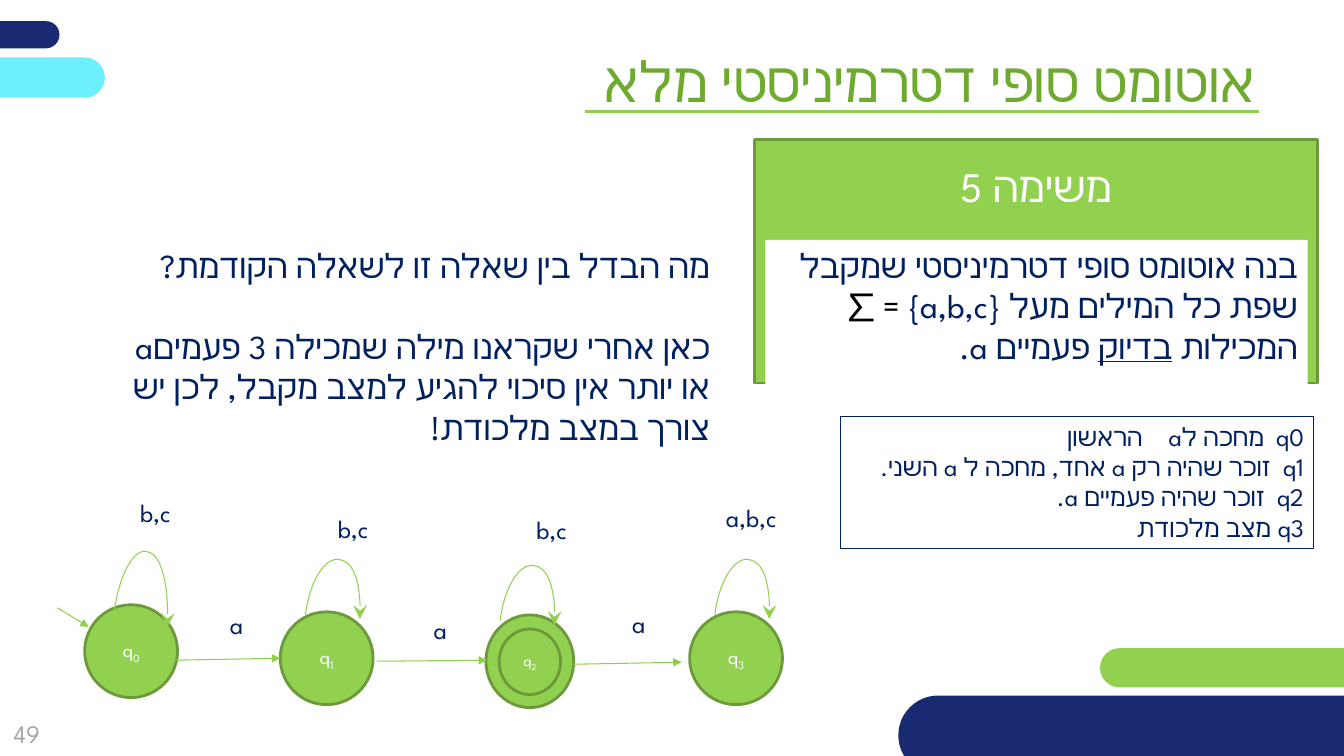
from dataclasses import dataclass

from lxml import etree
from pptx import Presentation
from pptx.dml.color import RGBColor
from pptx.enum.shapes import MSO_CONNECTOR, MSO_SHAPE
from pptx.enum.text import MSO_ANCHOR, PP_ALIGN
from pptx.oxml.ns import qn
from pptx.util import Emu, Pt

RECT, ELLIPSE, PILL = MSO_SHAPE.RECTANGLE, MSO_SHAPE.OVAL, MSO_SHAPE.ROUNDED_RECTANGLE
STRAIGHT = MSO_CONNECTOR.STRAIGHT
TOP, MIDDLE = MSO_ANCHOR.TOP, MSO_ANCHOR.MIDDLE
RIGHT, CENTER, JUSTIFY = PP_ALIGN.RIGHT, PP_ALIGN.CENTER, PP_ALIGN.JUSTIFY

EMU_PER_PX = 9144  # 100 px to the inch


@dataclass(frozen=True)
class Theme:
    font: str = "League Spartan"
    green: str = "92D050"
    dark_green: str = "6C9A3B"
    line_green: str = "8FCF4B"
    title_green: str = "6EAA2E"
    navy: str = "192A72"
    cyan: str = "6CF0FF"
    ink: str = "002060"
    grey: str = "A6A6A6"
    white: str = "FFFFFF"
    black: str = "000000"
    title: int = 40
    heading: int = 30
    body: int = 24
    small: int = 18
    state: int = 14
    inner_state: int = 11


THEME = Theme()


def px(value):
    return Emu(round(value * EMU_PER_PX))


def shifted(box, left, top, width, height):
    """Box given relative to the corner of another box."""
    return box[0] + left, box[1] + top, width, height


def add_block(shapes, kind, box, fill=None, line=None, weight=2):
    block = shapes.add_shape(kind, *map(px, box))
    block.shadow.inherit = False
    if fill:
        block.fill.solid()
        block.fill.fore_color.rgb = RGBColor.from_string(fill)
    else:
        block.fill.background()
    if line:
        block.line.color.rgb = RGBColor.from_string(line)
        block.line.width = Pt(weight)
    else:
        block.line.fill.background()
    return block


def add_run(paragraph, text, size, color, underline=None, **attributes):
    run = paragraph.add_run()
    run.text = text
    font = run.font
    font.name, font.size, font.underline = THEME.font, Pt(size), underline
    font.color.rgb = RGBColor.from_string(color)
    properties = run._r.get_or_add_rPr()
    etree.SubElement(properties, qn("a:cs")).set("typeface", THEME.font)
    for name, value in attributes.items():
        properties.set(name, str(value))


def start_text(shape, align=RIGHT, anchor=TOP):
    """Prepare the frame and return its first right-to-left paragraph."""
    frame = shape.text_frame
    frame.word_wrap = True
    frame.vertical_anchor = anchor
    return set_direction(frame.paragraphs[0], align)


def set_direction(paragraph, align, indent=0):
    paragraph.alignment = align
    properties = paragraph._p.get_or_add_pPr()
    properties.set("rtl", "1")
    if indent:
        properties.set("marR", str(px(indent)))
    return paragraph


def add_label(shapes, box, text, size, color, align=RIGHT, anchor=TOP):
    label = shapes.add_textbox(*map(px, box))
    add_run(start_text(label, align, anchor), text, size, color)
    return label


def style_line(shape, color, weight, **ends):
    """Colour and weigh a line; each end is an arrowhead type and its size."""
    shape.line.color.rgb = RGBColor.from_string(color)
    shape.line.width = Pt(weight)
    for end, (arrowhead, size) in ends.items():
        head = etree.SubElement(shape._element.spPr.find(qn("a:ln")), qn(f"a:{end}"))
        for name, value in (("type", arrowhead), ("w", size), ("len", size)):
            head.set(name, value)


def add_line(shapes, start, finish, weight, **ends):
    line = shapes.add_connector(STRAIGHT, *map(px, (*start, *finish)))
    style_line(line, THEME.line_green, weight, **ends)
    etree.SubElement(line._element.spPr, qn("a:effectLst"))


def add_decoration(shapes):
    for box, color in (
        ((-266, 21, 325, 27), THEME.navy),
        ((1091, 643, 521, 39), THEME.green),
        ((-221, 57, 325, 40), THEME.cyan),
        ((891, 690, 566, 79), THEME.navy),
    ):
        add_block(shapes, PILL, box, color).adjustments[0] = 0.5
    add_label(shapes, (-18, 699, 89, 57), "49", THEME.small, THEME.grey, CENTER, MIDDLE)


def add_title(shapes, box):
    left, top = box[:2]
    add_line(shapes, (left + 140, top + 70), (left + 809, top + 70), 2.25)
    add_label(shapes, box, "אוטומט סופי דטרמיניסטי מלא", THEME.title, THEME.title_green)


def add_task(shapes, box):
    card = add_block(shapes, RECT, box, THEME.green, THEME.dark_green)
    card.text_frame.margin_top = px(21)
    add_run(start_text(card, CENTER), "משימה 5", THEME.heading, THEME.white)
    statement = add_block(shapes, RECT, shifted(box, 11, 100, 538, 172), THEME.white)
    paragraph = start_text(statement)
    for text, color, underline in (
        ("בנה אוטומט סופי דטרמיניסטי שמקבל שפת כל המילים מעל {a,b,c} ", THEME.ink, None),
        ("= ∑ ", THEME.black, None),
        ("המכילות ", THEME.ink, None),
        ("בדיוק", THEME.ink, True),
        (" פעמיים a.", THEME.ink, None),
    ):
        add_run(paragraph, text, THEME.body, color, underline)


def add_question(shapes, box):
    question = add_label(shapes, box, "מה הבדל בין שאלה זו לשאלה הקודמת?", THEME.body, THEME.ink)
    answer = set_direction(question.text_frame.add_paragraph(), RIGHT, indent=50)
    answer.space_before = Pt(29)
    add_run(answer, "כאן אחרי שקראנו מילה שמכילה 3 פעמיםa או יותר אין סיכוי להגיע למצב מקבל, "
            "לכן יש צורך במצב מלכודת!", THEME.body, THEME.ink)


def add_state(shapes, box, number, size):
    state = add_block(shapes, ELLIPSE, box, THEME.green, THEME.dark_green)
    frame = state.text_frame
    frame.margin_left = frame.margin_right = frame.margin_top = frame.margin_bottom = 0
    paragraph = start_text(state, CENTER, MIDDLE)
    add_run(paragraph, "q", size, THEME.white)
    add_run(paragraph, str(number), size, THEME.white, baseline=-25000)


def add_loop(shapes, tip, stretch):
    """Arch from its arrow tip over to the left, along two cubic curves."""
    curves = [[(px(tip[0] + x), px(tip[1] + y * stretch)) for x, y in curve] for curve in (
        ((2, -32), (-7, -58), (-21, -59)), ((-35, -61), (-50, -37), (-54, -4)))]
    builder = shapes.build_freeform(px(tip[0]), px(tip[1]), scale=1.0)
    builder.add_line_segments([curve[-1] for curve in curves], close=False)
    loop = builder.convert_to_shape()
    for segment, curve in zip(list(loop._element.iter(qn("a:lnTo"))), curves):
        segment.tag = qn("a:cubicBezTo")
        segment.remove(segment[0])
        for x, y in curve:
            point = etree.SubElement(segment, qn("a:pt"))
            point.set("x", str(x - loop.left))
            point.set("y", str(y - loop.top))
    loop.shadow.inherit = False
    loop.fill.background()
    style_line(loop, THEME.green, 0.75, headEnd=("stealth", "lg"))


def add_automaton(shapes, box):
    parts = shapes.add_group_shape().shapes
    left, top = box[:2]
    states = (  # circle, loop tip, loop stretch, loop label box, loop label
        ((27, 112, 92, 92), (109, 134), 1.27, (48, 0, 74, 52), "b,c"),
        ((221, 119, 92, 92), (300, 126), 1, (209, 16, 109, 52), "b,c"),
        ((425, 122, 87, 92), (493, 132), 1, (406, 17, 109, 52), "b,c"),
        ((627, 119, 92, 92), (706, 126), 1, (619, 5, 104, 52), "a,b,c"),
    )
    accepting = 2
    for number, (circle, tip, stretch, label_box, label) in enumerate(states):
        circle = shifted(box, *circle)
        if number == accepting:
            add_block(parts, ELLIPSE, circle, THEME.green, THEME.dark_green)
            add_state(parts, shifted(circle, 13, 14, 61, 65), number, THEME.inner_state)
        else:
            add_state(parts, circle, number, THEME.state)
        add_loop(parts, (left + tip[0], top + tip[1]), stretch)
        add_label(parts, shifted(box, *label_box), label, THEME.small, THEME.ink)
    for x1, y1, x2, y2, label_box in (
        (0, 115, 31, 134, None),
        (113, 167, 221, 165, (150, 112, 44, 52)),
        (317, 168, 426, 167, (338, 116, 58, 52)),
        (511, 171, 619, 169, (535, 111, 58, 52)),
    ):
        add_line(parts, (left + x1, top + y1), (left + x2, top + y2), 0.75,
                 tailEnd=("triangle", "med"))
        if label_box:
            add_label(parts, shifted(box, *label_box), "a", THEME.small, THEME.ink)


def add_state_notes(shapes, box):
    """Notes whose wider gaps come from the spacing of a single space."""
    notes = add_block(shapes, RECT, box, line=THEME.ink, weight=0.75)
    paragraph = start_text(notes, JUSTIFY)
    wide, widest = (" ", 400), (" ", 1400)
    for index, (indent, note) in enumerate((
        (0, (("q0", 0), wide, ("מחכה לa", 0), widest, ("הראשון", 0))),
        (0, (("q1", 0), wide, ("זוכר שהיה רק a אחד, מחכה ל a השני.", 0))),
        (0, (("q2", 0), wide, ("זוכר שהיה פעמיים a.", 0))),
        (6, (("q3 מצב מלכודת", 0),)),
    )):
        if index:
            paragraph = notes.text_frame.add_paragraph()
        set_direction(paragraph, JUSTIFY, indent)
        for text, spacing in note:
            add_run(paragraph, text, THEME.small, THEME.ink, spc=spacing)


def main():
    deck = Presentation()
    deck.slide_width, deck.slide_height = px(1333), px(750)
    shapes = deck.slides.add_slide(deck.slide_layouts[6]).shapes
    add_decoration(shapes)
    add_title(shapes, (440, 41, 816, 77))
    add_task(shapes, (748, 138, 559, 242))
    add_question(shapes, (44, 238, 670, 242))
    add_automaton(shapes, (57, 488, 723, 214))
    add_state_notes(shapes, (834, 413, 469, 131))
    deck.save("out.pptx")


if __name__ == "__main__":
    main()
